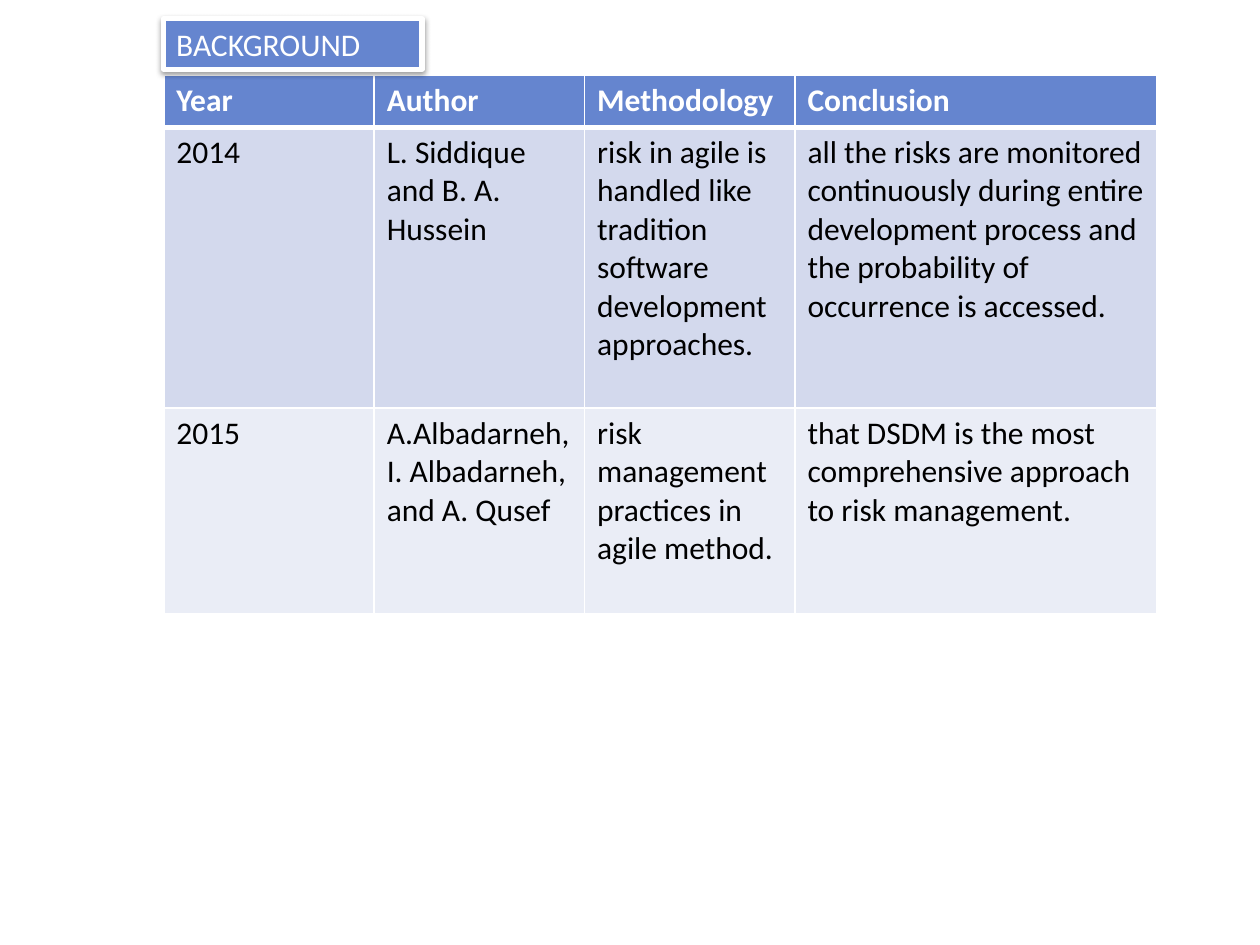
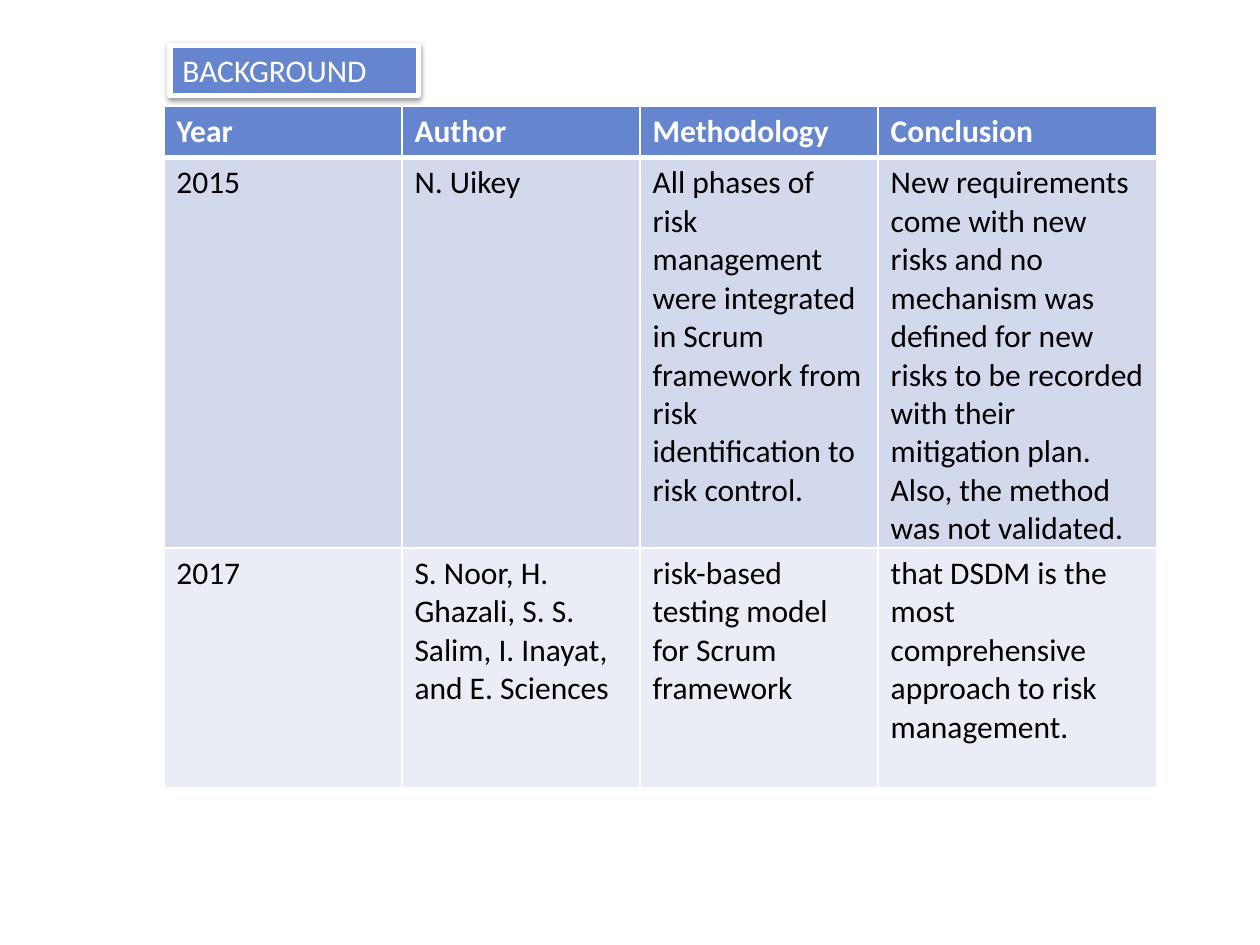
from dataclasses import dataclass
from lxml.etree import SubElement
from pptx import Presentation
from pptx.dml.color import RGBColor as RGB
from pptx.enum.shapes import MSO_SHAPE as Shape
from pptx.enum.text import MSO_ANCHOR as Anchor, MSO_AUTO_SIZE as Fit, PP_ALIGN as Align
from pptx.oxml.ns import qn
from pptx.util import Inches, Pt


@dataclass(frozen=True)
class Theme:
    """Colours and type shared by both slides."""
    blue: str = "6585CF"
    bands: tuple = ("D3D9ED", "EAEDF6")
    white: str = "FFFFFF"
    black: str = "000000"
    face: str = "Calibri"
    size: int = 18


THEME = Theme()
HEAD = ("Year", "Author", "Methodology", "Conclusion")
DSDM = "that DSDM is the most comprehensive approach to risk management."

SLIDES = [
    dict(
        tag=(1.3, 0.15, 2.05, 0.4),
        spot=(1.3, 0.6),
        cols=(1.67, 1.67, 1.67, 2.87),
        highs=(0.41, 2.23, 1.63),
        rows=[
            ("2014", "L. Siddique and B. A. Hussein",
             "risk in agile is handled like tradition software development approaches.",
             "all the risks are monitored continuously during entire development process "
             "and the probability of occurrence is accessed."),
            ("2015", "A.Albadarneh, I. Albadarneh, and A. Qusef",
             "risk management practices in agile method.", DSDM),
        ],
    ),
    dict(
        tag=(1.35, 0.36, 1.97, 0.4),
        spot=(1.3, 0.84),
        cols=(1.89, 1.89, 1.89, 2.21),
        highs=(0.41, 3.1, 1.9),
        rows=[
            ("2015", "N. Uikey",
             "All phases of risk management were integrated in Scrum framework "
             "from risk identification to risk control.",
             "New requirements come with new risks and no mechanism was\n"
             "defined for new risks to be recorded with their mitigation plan. "
             "Also, the method was not validated."),
            ("2017", "S. Noor, H. Ghazali, S. S. Salim, I. Inayat, and E. Sciences",
             "risk-based testing model for Scrum framework", DSDM),
        ],
    ),
]


def write(frame, text, color, bold=False):
    """Put styled text in a frame."""
    frame.text = text
    for para in frame.paragraphs:
        para.alignment = Align.LEFT
        for run in para.runs:
            font = run.font
            font.name, font.size, font.bold = THEME.face, Pt(THEME.size), bold
            font.color.rgb = RGB.from_string(color)


def paint(fill, color):
    """Give a fill one solid colour."""
    fill.solid()
    fill.fore_color.rgb = RGB.from_string(color)


def tint(node, color):
    """Add a colour element and return it."""
    return SubElement(node, qn("a:srgbClr"), val=color)


def edge(cell, base):
    """Draw white cell borders with the given bottom width."""
    props = cell._tc.get_or_add_tcPr()
    for side, width in (("L", 1), ("R", 1), ("T", 1), ("B", base)):
        line = SubElement(props, qn(f"a:ln{side}"), w=str(Pt(width)))
        tint(SubElement(line, qn("a:solidFill")), THEME.white)


def shade(shape):
    """Cast a soft shadow straight down."""
    shape.shadow.inherit = False
    effects = shape._element.spPr.find(qn("a:effectLst"))
    cast = SubElement(effects, qn("a:outerShdw"), blurRad=str(Pt(3.1)),
                      dist=str(Pt(1.6)), dir="5400000", rotWithShape="0")
    SubElement(tint(cast, THEME.black), qn("a:alpha"), val="38000")


def label(slide, box):
    """Add the framed title tag in its box."""
    shape = slide.shapes.add_shape(Shape.RECTANGLE, *map(Inches, box))
    paint(shape.fill, THEME.blue)
    paint(shape.line.fill, THEME.white)
    shape.line.width = Pt(3)
    shade(shape)
    frame = shape.text_frame
    frame.word_wrap = True
    frame.auto_size = Fit.SHAPE_TO_FIT_TEXT
    frame.vertical_anchor = Anchor.TOP
    write(frame, "BACKGROUND", THEME.white)


def grid(slide, spot, cols, highs, rows):
    """Add the table of studies at a spot."""
    data = [HEAD, *rows]
    box = (*spot, sum(cols), sum(highs))
    table = slide.shapes.add_table(len(data), len(cols), *map(Inches, box)).table
    for col, width in zip(table.columns, cols):
        col.width = Inches(width)
    for r, (row, high) in enumerate(zip(data, highs)):
        table.rows[r].height = Inches(high)
        top = r == 0
        for c, text in enumerate(row):
            cell = table.cell(r, c)
            edge(cell, 3 if top else 1)
            paint(cell.fill, THEME.blue if top else THEME.bands[(r - 1) % 2])
            cell.margin_bottom = Inches(0.05 if top else 0)
            write(cell.text_frame, text, THEME.white if top else THEME.black, top)


def page(deck, tag, **study):
    """Add one slide with its table and title tag."""
    slide = deck.slides.add_slide(deck.slide_layouts[6])
    grid(slide, **study)
    label(slide, tag)


def main():
    """Build and save the deck."""
    deck = Presentation()
    deck.slide_width, deck.slide_height = Inches(10), Inches(7.5)
    for item in SLIDES:
        page(deck, **item)
    deck.save("out.pptx")


if __name__ == "__main__":
    main()
